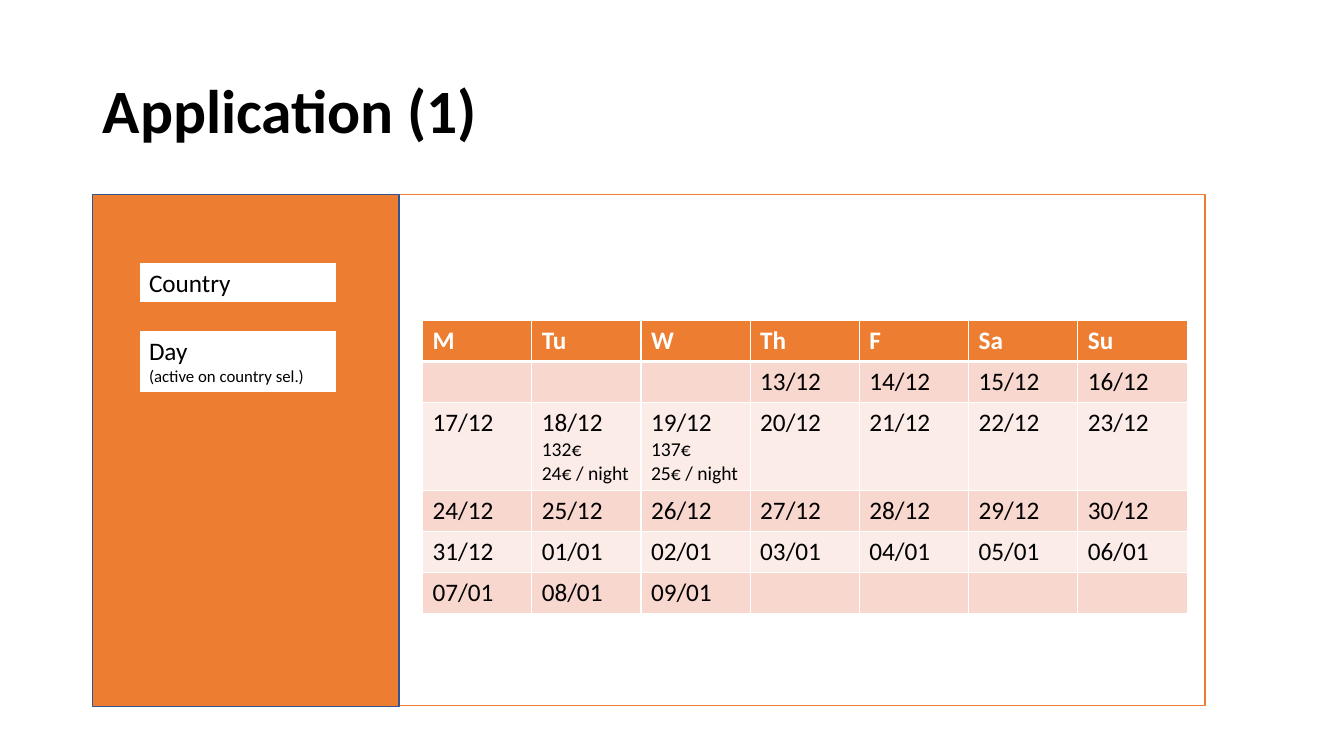
from pptx import Presentation
from pptx import util as u
from pptx.dml.color import RGBColor
from pptx.enum import shapes, text
from pptx.oxml import parse_xml
from pptx.oxml.ns import nsdecls

COLORS = {"orange": "ED7D31", "navy": "325491", "white": "FFFFFF",
          "black": "000000", "band_dark": "F8D7CE", "band_light": "FCECE8"}


def rgb(name):
    return RGBColor.from_string(COLORS[name])


def write(para, words, size=18, color="black", bold=False, font="Calibri"):
    span = para.add_run()
    span.text = words
    span.font.name = font
    span.font.size = u.Pt(size)
    span.font.bold = bold
    span.font.color.rgb = rgb(color)


class Page:
    """Places elements by percentages of the slide's width and height."""

    def __init__(self, deck):
        self.deck = deck
        self.slide = deck.slides.add_slide(deck.slide_layouts[5])

    def across(self, share):
        return round(self.deck.slide_width * share / 100)

    def down(self, share):
        return round(self.deck.slide_height * share / 100)

    def area(self, left, top, width, height):
        return (self.across(left), self.down(top),
                self.across(width), self.down(height))

    def fill_text(self, frame, lines, color="black", bold=False):
        for index, (words, size) in enumerate(lines):
            para = frame.add_paragraph() if index else frame.paragraphs[0]
            para.alignment = text.PP_ALIGN.LEFT
            write(para, words, size=size, color=color, bold=bold)

    def title(self, words, *place):
        box = self.slide.shapes.title
        box.left, box.top, box.width, box.height = self.area(*place)
        frame = box.text_frame
        frame.word_wrap = True
        frame.vertical_anchor = text.MSO_ANCHOR.MIDDLE
        self.fill_text(frame, [(words, 44)], bold=True)
        frame.paragraphs[0].line_spacing = 0.9

    def rectangle(self, *place, fill="white", line="orange", weight=1, lines=()):
        box = self.slide.shapes.add_shape(
            shapes.MSO_SHAPE.RECTANGLE, *self.area(*place))
        box.shadow.inherit = False
        box.fill.solid()
        box.fill.fore_color.rgb = rgb(fill)
        box.line.color.rgb = rgb(line)
        box.line.width = u.Pt(weight)
        if lines:
            box.text_frame.word_wrap = True
            box.text_frame.vertical_anchor = text.MSO_ANCHOR.TOP
            self.fill_text(box.text_frame, lines)

    def border(self, cell, **weights):
        properties = cell._tc.get_or_add_tcPr()
        for index, side in enumerate("LRTB"):
            width = u.Pt(weights.get(side, 1))
            properties.insert(index, parse_xml(
                f'<a:ln{side} {nsdecls("a")} w="{width}"><a:solidFill>'
                f'<a:srgbClr val="{COLORS["white"]}"/></a:solidFill></a:ln{side}>'))

    def table(self, rows, heights, *place):
        grid = self.slide.shapes.add_table(
            len(rows), len(rows[0]), *self.area(*place)).table
        for r, (row, height) in enumerate(zip(rows, heights)):
            grid.rows[r].height = self.down(height)
            header = r == 0
            fill = "orange" if header else "band_dark" if r % 2 else "band_light"
            for c, lines in enumerate(row):
                cell = grid.cell(r, c)
                cell.fill.solid()
                cell.fill.fore_color.rgb = rgb(fill)
                self.border(cell, T=3 if r == 1 else 1, B=3 if header else 1)
                self.fill_text(cell.text_frame, lines, bold=header,
                               color="white" if header else "black")


# Calendar from 13 December to 9 January, counted in December days
FIRST_MONDAY, FIRST_DAY, LAST_DAY, DECEMBER = 10, 13, 40, 31
WEEKDAYS = ["M", "Tu", "W", "Th", "F", "Sa", "Su"]
PRICES = {18: ["132€", "24€ / night"], 19: ["137€", "25€ / night"]}


def day_lines(day):
    if not FIRST_DAY <= day <= LAST_DAY:
        return []
    date = f"{day}/12" if day <= DECEMBER else f"{day - DECEMBER:02}/01"
    return [(date, 18)] + [(price, 14) for price in PRICES.get(day, [])]


calendar = [[[(name, 18)] for name in WEEKDAYS]]
for monday in range(FIRST_MONDAY, LAST_DAY, 7):
    calendar.append([day_lines(monday + offset) for offset in range(7)])

deck = Presentation()
deck.slide_width, deck.slide_height = u.Inches(13.33), u.Inches(7.5)
page = Page(deck)
page.title("Application (1)", 6.9, 5.33, 86.27, 19.33)

# Application window with its side panel
page.rectangle(6.9, 25.73, 82.75, 67.6)
page.rectangle(6.9, 25.73, 22.8, 67.73, fill="orange", line="navy")

# Search fields
page.rectangle(10.35, 34.67, 14.7, 5.33, weight=0.75, lines=[("Country", 18)])
page.rectangle(10.35, 43.73, 14.7, 8.13, weight=0.75,
               lines=[("Day", 18), ("(active on country sel.)", 12)])

# Calendar with prices in the second week
page.table(calendar, [5.4, 5.4, 11.6, 5.4, 5.4, 5.4], 31.43, 42.4, 56.9, 38.6)

deck.save("out.pptx")
